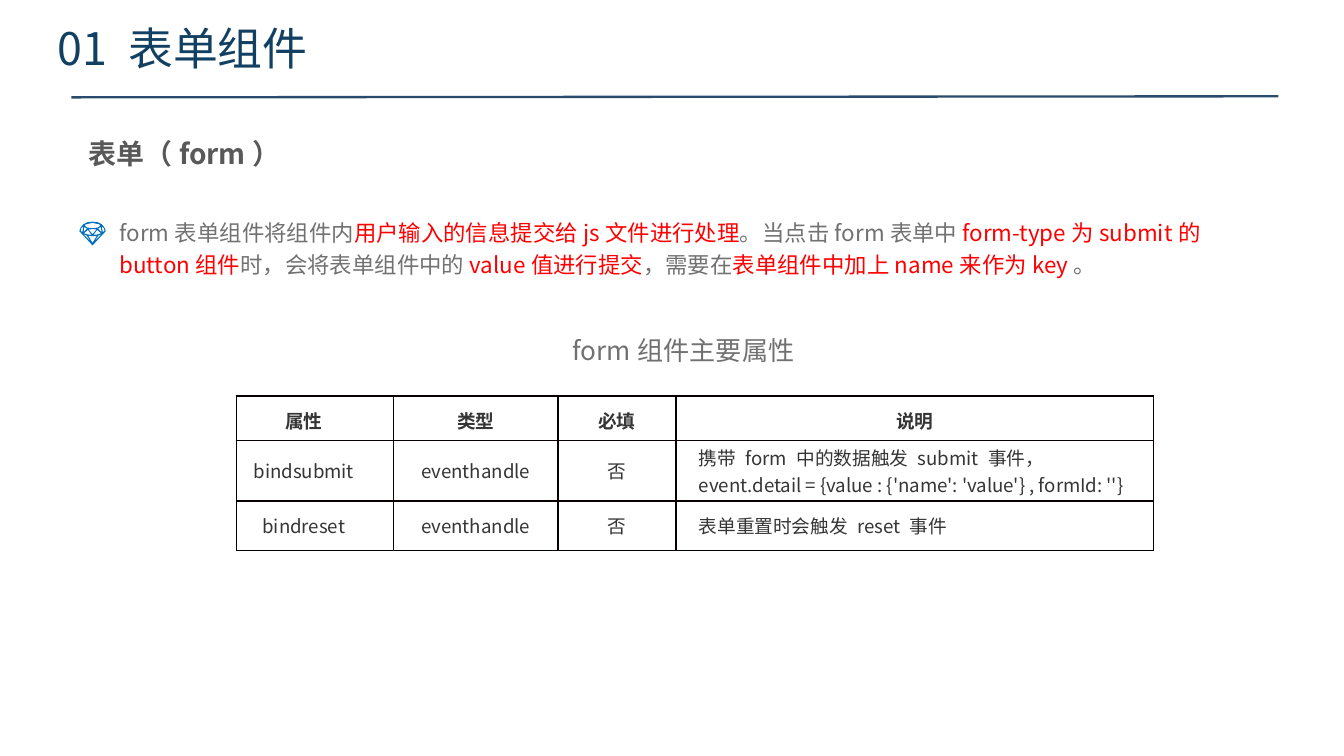
from dataclasses import dataclass

from lxml import etree
from pptx import Presentation
from pptx import util as u
from pptx.dml.color import RGBColor
from pptx.enum import shapes, text
from pptx.oxml.ns import qn

FONT = "Noto Sans CJK SC"
COLORS = {
    "title": "124062", "rule": "2A4B6C", "heading": "595959", "body": "727171",
    "key": "FF0000", "gem": "0070C0", "cell": "353535", "border": "080000",
}
TITLE = {"size": u.Pt(24), "bold": False}
HEADING = {"size": u.Pt(15), "bold": True}
BODY = {"size": u.Pt(12), "bold": False}
CAPTION = {"size": u.Pt(14), "bold": False}
HEADER_CELL = {"size": u.Pt(10), "bold": True}
DATA_CELL = {"size": u.Pt(10), "bold": False}


@dataclass
class Run:
    words: str
    color: str


@dataclass
class Label:
    box: tuple[float, float, float, float]
    runs: list[Run]
    style: dict
    spacing: float = 1.0


LABELS = [
    Label((1.42, 2.46, 6.68, 0.84), [Run("表单（form）", "heading")], HEADING),
    Label((2.01, 3.91, 22.25, 1.47), [
        Run("form表单组件将组件内", "body"),
        Run("用户输入的信息提交给js文件进行处理", "key"),
        Run("。当点击form表单中", "body"),
        Run("form-type为submit的button组件", "key"),
        Run("时，会将表单组件中的", "body"),
        Run("value值进行提交", "key"),
        Run("，需要在", "body"),
        Run("表单组件中加上name来作为key", "key"),
        Run("。", "body"),
    ], BODY, 1.2),
    Label((10.57, 6.2, 5.16, 0.86), [Run("form组件主要属性", "body")], CAPTION),
]

COLUMNS = [2.97, 3.1, 2.24, 9.02]
ROWS = [0.84, 1.14, 0.94]
ATTRIBUTES = [
    ["属性", "类型", "必填", "说明"],
    ["bindsubmit", "eventhandle", "否",
     "携带 form 中的数据触发 submit 事件，event.detail = {value : {'name': 'value'} , formId: ''}"],
    ["bindreset", "eventhandle", "否", "表单重置时会触发 reset 事件"],
]

# Gem outlines, measured from its top centre
GEM_UNIT = u.Cm(0.0025)
GEM_CENTRE = [
    [(-100, 72), (-90, 45), (-70, 20), (-40, 5), (0, 0), (40, 5), (70, 20),
     (90, 45), (100, 72), (0, 180)],
    [(-60, 30), (-50, 20), (0, 10), (50, 20), (60, 30), (40, 45), (0, 50), (-40, 45)],
    [(-30, 60), (0, 56), (30, 60), (0, 95)],
    [(-33, 107), (0, 110), (33, 107), (0, 160)],
]
GEM_LEFT = [
    [(-63, 40), (-42, 53), (-68, 80)],
    [(-35, 63), (-7, 100), (-40, 97), (-65, 88)],
    [(-70, 36), (-77, 80), (-90, 70), (-86, 50)],
    [(-70, 95), (-45, 105), (-12, 153)],
]


def add_runs(paragraph, runs: list[Run], style: dict) -> None:
    for item in runs:
        run = paragraph.add_run()
        run.text = item.words
        for name, value in {**style, "name": FONT}.items():
            setattr(run.font, name, value)
        run.font.color.rgb = RGBColor.from_string(COLORS[item.color])
        etree.SubElement(run.font._element, qn("a:ea"), typeface=FONT)


def add_title(slide) -> None:
    title = slide.shapes.title
    place = {"left": 0.84, "top": 0.38, "width": 21.89, "height": 1.17}
    for name, value in place.items():
        setattr(title, name, u.Cm(value))
    title.text_frame.vertical_anchor = text.MSO_ANCHOR.MIDDLE
    paragraph = title.text_frame.paragraphs[0]
    paragraph.alignment = text.PP_ALIGN.LEFT
    paragraph.line_spacing = 0.9
    add_runs(paragraph, [Run("01 表单组件", "title")], TITLE)


def add_rule(slide) -> None:
    rule = slide.shapes.add_connector(
        shapes.MSO_CONNECTOR.STRAIGHT, u.Cm(1.35), u.Cm(1.84), u.Cm(24.16), u.Cm(1.82))
    rule.line.color.rgb = RGBColor.from_string(COLORS["rule"])
    rule.line.width = u.Pt(1.25)
    etree.SubElement(rule._element.spPr, qn("a:effectLst"))


def add_gem(slide, left: float, top: float) -> None:
    mirrored = [[(-x, y) for x, y in facet] for facet in GEM_LEFT]
    outline, *facets = GEM_CENTRE + GEM_LEFT + mirrored
    builder = slide.shapes.build_freeform(*outline[0], scale=GEM_UNIT)
    builder.add_line_segments(outline[1:], close=True)
    for facet in facets:
        builder.move_to(*facet[0])
        builder.add_line_segments(facet[1:], close=True)
    gem = builder.convert_to_shape(u.Cm(left), u.Cm(top))
    gem.shadow.inherit = False
    gem.fill.solid()
    gem.fill.fore_color.rgb = RGBColor.from_string(COLORS["gem"])
    gem.line.fill.background()


def add_label(slide, label: Label) -> None:
    frame = slide.shapes.add_textbox(*map(u.Cm, label.box)).text_frame
    frame.word_wrap = True
    frame.auto_size = text.MSO_AUTO_SIZE.SHAPE_TO_FIT_TEXT
    frame.paragraphs[0].line_spacing = label.spacing
    add_runs(frame.paragraphs[0], label.runs, label.style)


def set_borders(cell) -> None:
    properties = cell._tc.get_or_add_tcPr()
    for position, side in enumerate(("a:lnL", "a:lnR", "a:lnT", "a:lnB")):
        line = etree.Element(qn(side), w=str(u.Pt(1)))
        fill = etree.SubElement(line, qn("a:solidFill"))
        etree.SubElement(fill, qn("a:srgbClr"), val=COLORS["border"])
        properties.insert(position, line)


def fill_cell(cell, words: str, row: int, column: int) -> None:
    is_header = row == 0
    vertical = u.Cm(0.2 if is_header else 0)
    layout = {
        "margin_left": u.Cm(0.43 if column else 0), "margin_right": u.Cm(0.43),
        "margin_top": vertical, "margin_bottom": vertical,
        "vertical_anchor": text.MSO_ANCHOR.MIDDLE,
    }
    for name, value in layout.items():
        setattr(cell, name, value)
    cell.fill.background()
    set_borders(cell)
    paragraph = cell.text_frame.paragraphs[0]
    is_description = column == len(COLUMNS) - 1 and not is_header
    paragraph.alignment = text.PP_ALIGN.LEFT if is_description else text.PP_ALIGN.CENTER
    add_runs(paragraph, [Run(words, "cell")], HEADER_CELL if is_header else DATA_CELL)


def add_attribute_table(slide, left: float, top: float) -> None:
    table = slide.shapes.add_table(
        len(ROWS), len(COLUMNS), u.Cm(left), u.Cm(top),
        u.Cm(sum(COLUMNS)), u.Cm(sum(ROWS))).table
    table.first_row = table.horz_banding = False
    for column, width in zip(table.columns, COLUMNS):
        column.width = u.Cm(width)
    for row, height in zip(table.rows, ROWS):
        row.height = u.Cm(height)
    for r, entries in enumerate(ATTRIBUTES):
        for c, words in enumerate(entries):
            fill_cell(table.cell(r, c), words, r, c)


def main() -> None:
    deck = Presentation()
    deck.slide_width, deck.slide_height = u.Cm(25.4), u.Cm(14.29)
    slide = deck.slides.add_slide(deck.slide_layouts.get_by_name("Title Only"))
    add_title(slide)
    add_rule(slide)
    add_gem(slide, 1.75, 4.19)
    for label in LABELS:
        add_label(slide, label)
    add_attribute_table(slide, 4.47, 7.49)
    deck.save("out.pptx")


if __name__ == "__main__":
    main()
